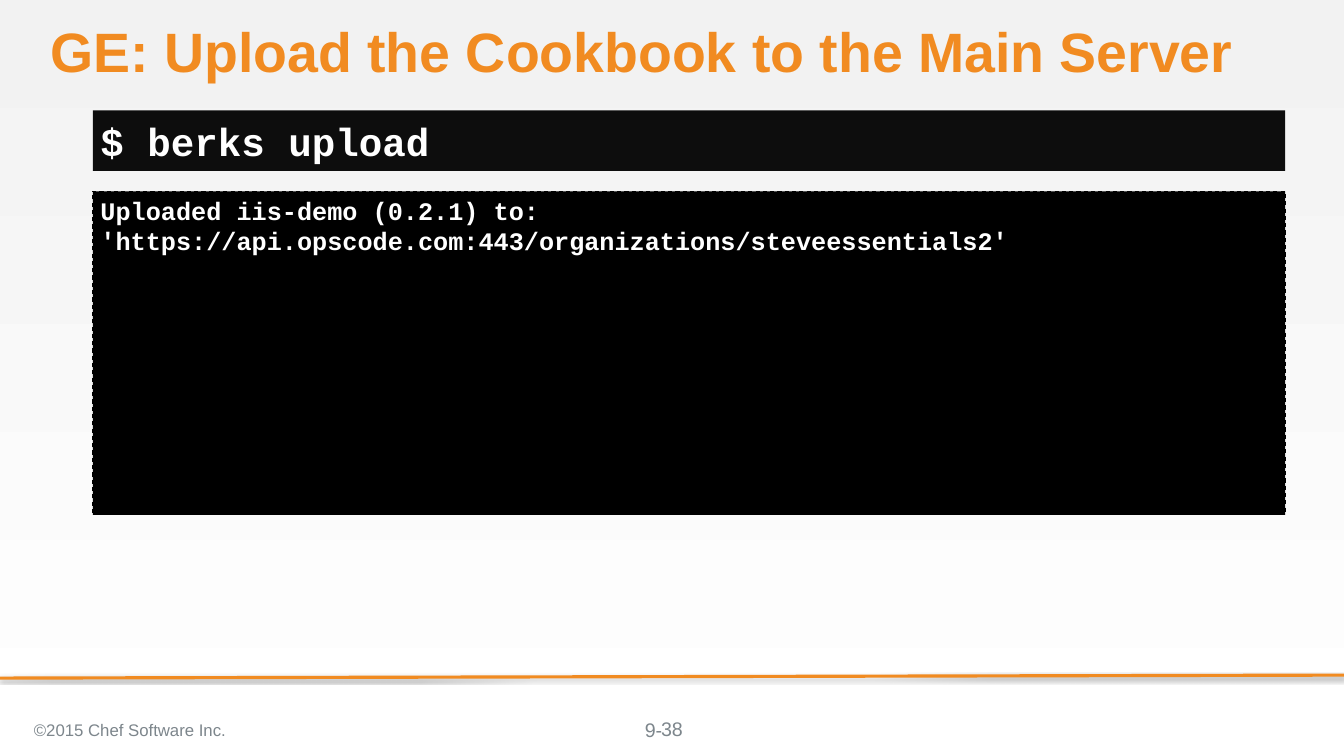
"""Build the slide about uploading a cookbook, with a command and its output."""
from lxml import etree
from pptx import Presentation
from pptx.dml.color import RGBColor
from pptx.enum.dml import MSO_LINE
from pptx.enum.shapes import MSO_CONNECTOR, MSO_SHAPE
from pptx.enum.text import MSO_ANCHOR, PP_ALIGN
from pptx.oxml import parse_xml
from pptx.util import Inches, Pt

RECTANGLE, STRAIGHT, DASH = MSO_SHAPE.RECTANGLE, MSO_CONNECTOR.STRAIGHT, MSO_LINE.DASH
TOP, MIDDLE = MSO_ANCHOR.TOP, MSO_ANCHOR.MIDDLE
LEFT, CENTER = PP_ALIGN.LEFT, PP_ALIGN.CENTER
ORANGE, GREY, WHITE, BLACK = "F18B21", "7D868C", "FFFFFF", "000000"
INSETS = (0.1, 0.05, 0.1, 0.05)
NO_INSETS = (0, 0, 0, 0)

deck = Presentation()
deck.slide_width, deck.slide_height = Inches(17.78), Inches(10)
column, row = deck.slide_width / 100, deck.slide_height / 100
page = deck.slides.add_slide(deck.slide_layouts[6])


def color(value):
    return RGBColor.from_string(value)


def add_text(text, area, size, ink, font="Arial", bold=False, fill=None,
             align=LEFT, anchor=TOP, insets=INSETS, spacing=None):
    left, top, width, height = area
    place = [int(n) for n in (left * column, top * row, width * column, height * row)]
    if fill:
        box = page.shapes.add_shape(RECTANGLE, *place)
        box.shadow.inherit = False
        box.fill.solid()
        box.fill.fore_color.rgb = color(fill)
        box.line.fill.background()
    else:
        box = page.shapes.add_textbox(*place)
    frame = box.text_frame
    frame.word_wrap = True
    frame.vertical_anchor = anchor
    frame.margin_left, frame.margin_top, frame.margin_right, frame.margin_bottom = map(Inches, insets)
    para = frame.paragraphs[0]
    para.alignment = align
    if spacing:
        para.line_spacing = spacing
    span = para.add_run()
    span.text = text
    span.font.name, span.font.size, span.font.bold = font, Pt(size), bold
    span.font.color.rgb = color(ink)
    return box


backdrop = page.background.fill
backdrop.gradient()
backdrop.gradient_angle = 270
for stop, shade in zip(backdrop.gradient_stops, ("F2F2F2", WHITE)):
    stop.color.rgb = color(shade)

rule = page.shapes.add_connector(STRAIGHT, deck.slide_width, int(89.3 * row), 0, int(89.7 * row))
rule.line.color.rgb = color(ORANGE)
rule.line.width = Pt(3)
shadow = parse_xml(
    '<a:effectLst xmlns:a="http://schemas.openxmlformats.org/drawingml/2006/main">'
    f'<a:outerShdw blurRad="{Pt(3.1)}" dist="{Pt(1.8)}" dir="5400000" rotWithShape="0">'
    f'<a:srgbClr val="{BLACK}"><a:alpha val="35000"/></a:srgbClr></a:outerShdw></a:effectLst>')
etree.ElementBase.append(rule._element.spPr, shadow)

panel_left, panel_width = 6.92, 88.7
output = add_text("Uploaded iis-demo (0.2.1) to: 'https://api.opscode.com:443/organizations/steveessentials2'",
                  (panel_left, 25.3, panel_width, 42.8), 24, WHITE,
                  font="Courier New", bold=True, fill=BLACK)
output.line.color.rgb = color(BLACK)
output.line.width = Pt(1)
output.line.dash_style = DASH
add_text("GE: Upload the Cookbook to the Main Server", (3.77, 3.3, 91.84, 9.1), 52.8, ORANGE,
         bold=True, insets=NO_INSETS, spacing=0.9)
add_text("$ berks upload", (panel_left, 14.6, panel_width, 8), 37.3, WHITE,
         font="Courier New", bold=True, fill="0D0D0D", anchor=MIDDLE, insets=(0.1, 0, 0, 0))

add_text("©2015 Chef Software Inc.", (1.97, 93.8, 34.93, 5.6), 16, GREY, anchor=MIDDLE)
add_text("9-", (47.75, 94.9, 4.5, 3.1), 18.7, GREY, insets=(0.04, 0, 0, 0))
add_text("38", (38.75, 93.8, 22.5, 5.3), 18.7, GREY, align=CENTER, anchor=MIDDLE)

deck.save("out.pptx")
